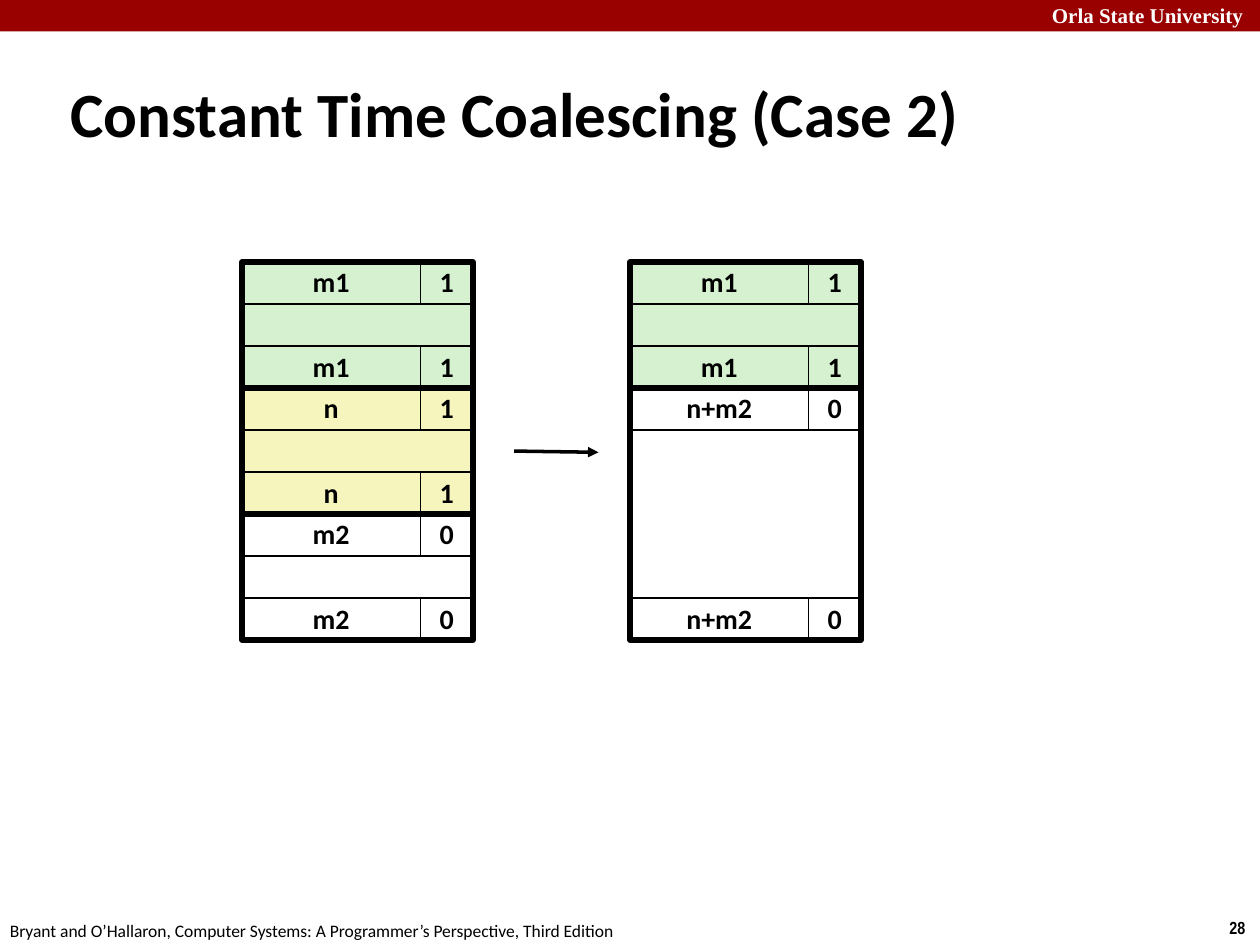
from lxml import etree
from pptx import Presentation
from pptx.dml.color import RGBColor
from pptx.enum import shapes, text
from pptx.oxml.ns import qn
from pptx.util import Inches, Pt

COLORS = {
    "banner": "990000",
    "black": "000000",
    "white": "FFFFFF",
    "previous": "D5F1CF",
    "current": "F6F5BD",
}
ROW = 1 / 3
SIZE_WIDTH, FLAG_WIDTH = 17 / 12, 5 / 12
BLOCK_WIDTH = SIZE_WIDTH + FLAG_WIDTH
HEAP_TOP = 2.08


class SlideBuilder:
    """Draws styled elements on one slide."""

    font = "Calibri"

    def __init__(self, page):
        self.page = page

    def color(self, name):
        return RGBColor.from_string(COLORS[name])

    def add_span(self, para, words, size, bold=False, color="black", font=None):
        span = para.add_run()
        span.text = words
        span.font.name = font or self.font
        span.font.size = Pt(size)
        span.font.bold = bold
        span.font.color.rgb = self.color(color)

    def title(self, words, left, top, width, height):
        box = self.page.shapes.title
        box.left, box.top = Inches(left), Inches(top)
        box.width, box.height = Inches(width), Inches(height)
        frame = box.text_frame
        frame.auto_size = text.MSO_AUTO_SIZE.NONE
        frame.vertical_anchor = text.MSO_ANCHOR.MIDDLE
        para = frame.paragraphs[0]
        para.alignment = text.PP_ALIGN.LEFT
        # Hanging indent
        properties = para._p.get_or_add_pPr()
        properties.set("marL", str(Inches(0.13)))
        properties.set("indent", str(-Inches(0.13)))
        self.add_span(para, words, 36, bold=True)

    def label(self, words, left, top, width, height, size, **style):
        box = self.page.shapes.add_textbox(
            Inches(left), Inches(top), Inches(width), Inches(height))
        box.text_frame.word_wrap = False
        self.add_span(box.text_frame.paragraphs[0], words, size, **style)

    def rectangle(self, left, top, width, height, fill=None, line=0.75, words=""):
        box = self.page.shapes.add_shape(
            shapes.MSO_SHAPE.RECTANGLE,
            Inches(left), Inches(top), Inches(width), Inches(height))
        box.shadow.inherit = False
        if fill:
            box.fill.solid()
            box.fill.fore_color.rgb = self.color(fill)
        else:
            box.fill.background()
        if line:
            box.line.color.rgb = self.color("black")
            box.line.width = Pt(line)
        else:
            box.line.fill.background()
        if words:
            box.text_frame.vertical_anchor = text.MSO_ANCHOR.MIDDLE
            para = box.text_frame.paragraphs[0]
            para.alignment = text.PP_ALIGN.CENTER
            para.line_spacing = 0.98
            self.add_span(para, words, 16, bold=True)

    def block(self, left, first_row, rows, size, flag, fill):
        """Heap block: header and footer tags around a payload."""
        top = HEAP_TOP + first_row * ROW
        self.rectangle(left, top + ROW, BLOCK_WIDTH, (rows - 2) * ROW, fill)
        for tag_top in (top, top + (rows - 1) * ROW):
            self.rectangle(left, tag_top, SIZE_WIDTH, ROW, fill, words=size)
            self.rectangle(left + SIZE_WIDTH, tag_top, FLAG_WIDTH, ROW, fill, words=flag)
        self.rectangle(left, top, BLOCK_WIDTH, rows * ROW, line=3)

    def arrow(self, start, end):
        line = self.page.shapes.add_connector(
            shapes.MSO_CONNECTOR.STRAIGHT, *map(Inches, start + end))
        line.line.color.rgb = self.color("black")
        line.line.width = Pt(2)
        outline = line.line._get_or_add_ln()
        etree.SubElement(outline, qn("a:tailEnd"), type="triangle")
        etree.SubElement(line._element.spPr, qn("a:effectLst"))


def main():
    deck = Presentation()
    deck.slide_width, deck.slide_height = Inches(10), Inches(7.5)
    slide = SlideBuilder(deck.slides.add_slide(deck.slide_layouts[5]))

    # Banner and footer
    slide.rectangle(0, 0, 10, 0.25, "banner", line=None)
    slide.label("Orla State University", 8.25, -0.03, 1.82, 0.3, 12,
                bold=True, color="white", font="Times New Roman")
    slide.label("28", 9.66, 7.23, 0.34, 0.27, 10, bold=True, font="Arial Narrow")
    slide.label("Bryant and O’Hallaron, Computer Systems: "
                "A Programmer’s Perspective, Third Edition",
                -0.02, 7.25, 5.08, 0.27, 10)

    slide.title("Constant Time Coalescing (Case 2)", 0.46, 0.58, 9.08, 0.63)

    # Heap before and after: first row, rows, size, flag, fill
    heaps = {
        1.92: [(0, 3, "m1", "1", "previous"),
               (3, 3, "n", "1", "current"),
               (6, 3, "m2", "0", "white")],
        5: [(0, 3, "m1", "1", "previous"),
            (3, 6, "n+m2", "0", "white")],
    }
    for left, blocks in heaps.items():
        for block in blocks:
            slide.block(left, *block)

    slide.arrow((4.08, 3.58), (4.75, 3.59))

    deck.save("out.pptx")


if __name__ == "__main__":
    main()
